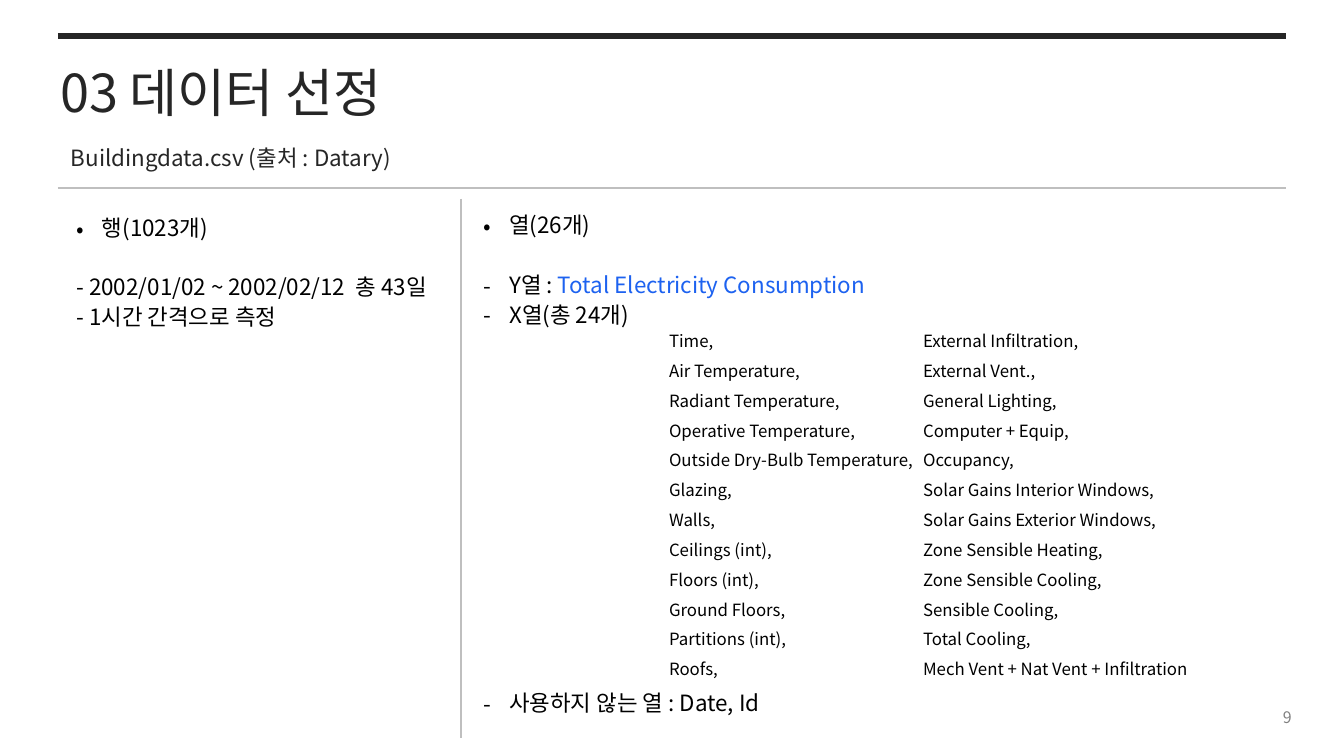
from pptx import Presentation
from pptx.dml.color import RGBColor
from pptx.enum.shapes import MSO_CONNECTOR
from pptx.enum.text import MSO_ANCHOR, PP_ALIGN
from pptx.oxml.ns import qn
from pptx.util import Inches, Pt
from lxml.etree import SubElement

FONT = "Noto Sans CJK KR"
DARK, BLACK, BLUE, RULE, GRAY = "262626", "000000", "1D62F0", "BFBFBF", "808080"
PLAIN_TABLE_STYLE = "{2D5ABB26-0587-4C30-8999-92F81FD0307C}"
LINE_PITCH = 16
INDENT = 0.19

LEFT_VARIABLES = [
    "Time,", "Air Temperature,", "Radiant Temperature,", "Operative Temperature,",
    "Outside Dry-Bulb Temperature,", "Glazing,", "Walls,", "Ceilings (int),",
    "Floors (int),", "Ground Floors,", "Partitions (int),", "Roofs,",
]
RIGHT_VARIABLES = [
    "External Infiltration,", "External Vent.,", "General Lighting,", "Computer + Equip,",
    "Occupancy,", "Solar Gains Interior Windows,", "Solar Gains Exterior Windows,",
    "Zone Sensible Heating,", "Zone Sensible Cooling,", "Sensible Cooling,",
    "Total Cooling,", "Mech Vent + Nat Vent + Infiltration",
]


def color(value):
    return RGBColor.from_string(value)


def format_run(run, size, ink):
    run.font.size = Pt(size)
    run.font.name = FONT
    run.font.color.rgb = color(ink)
    SubElement(run.font._element, qn("a:ea")).set("typeface", FONT)


def add_text(slide, left, top, width, height, lines, size, ink, pitch=LINE_PITCH):
    shape = slide.shapes.add_textbox(Inches(left), Inches(top), Inches(width), Inches(height))
    frame = shape.text_frame
    frame.word_wrap = True
    frame.text = "\n".join(lines)
    for paragraph in frame.paragraphs:
        if pitch:
            paragraph.line_spacing = Pt(pitch)
        for run in paragraph.runs:
            format_run(run, size, ink)
    return frame


def add_bullet(paragraph, character):
    properties = paragraph._p.get_or_add_pPr()
    properties.set("marL", str(Inches(INDENT)))
    properties.set("indent", str(-Inches(INDENT)))
    SubElement(properties, qn("a:buFont")).set("typeface", FONT)
    SubElement(properties, qn("a:buChar")).set("char", character)


def skip_lines(paragraph, count):
    paragraph.space_before = Pt(count * LINE_PITCH)


def add_rule(slide, start_x, start_y, end_x, end_y, ink, weight):
    rule = slide.shapes.add_connector(
        MSO_CONNECTOR.STRAIGHT, Inches(start_x), Inches(start_y), Inches(end_x), Inches(end_y))
    rule.line.color.rgb = color(ink)
    rule.line.width = Pt(weight)
    SubElement(rule._element.spPr, qn("a:effectLst"))


def add_header(slide, left, top, width, height):
    right, bottom = left + width, top + height
    add_text(slide, left - 0.08, top + 0.13, 7.56, 0.57, ["03 데이터 선정"], 28, DARK, None)
    add_text(slide, left, top + 0.73, 7.56, 0.33, ["Buildingdata.csv (출처 : Datary)"], 12, DARK)
    add_rule(slide, left, bottom, right, bottom, RULE, 0.75)
    add_rule(slide, left, top, right, top, DARK, 3)


def add_row_panel(slide, left, top, width, height):
    lines = ["행(1023개)", "- 2002/01/02 ~ 2002/02/12  총 43일", "- 1시간 간격으로 측정"]
    frame = add_text(slide, left, top, width, height, lines, 12, BLACK)
    skip_lines(frame.paragraphs[1], 1)
    add_bullet(frame.paragraphs[0], "•")


def add_column_panel(slide, left, top, width, height):
    lines = ["열(26개)", "Y열 : ", "X열(총 24개)", "사용하지 않는 열 : Date, Id"]
    frame = add_text(slide, left, top, width, height, lines, 12, BLACK)
    heading, target, inputs, unused = frame.paragraphs
    skip_lines(target, 1)
    skip_lines(unused, len(LEFT_VARIABLES))
    add_bullet(heading, "•")
    for paragraph in (target, inputs, unused):
        add_bullet(paragraph, "-")
    run = target.add_run()
    run.text = "Total Electricity Consumption"
    format_run(run, 12, BLUE)
    for offset, names in ((1.38, LEFT_VARIABLES), (3.27, RIGHT_VARIABLES)):
        add_text(slide, left + offset, top + 0.84, 5, 2.76, names, 9, BLACK)


def add_empty_table(slide, left, top, width, height):
    frame = slide.shapes.add_table(1, 1, Inches(left), Inches(top), Inches(width), Inches(height))
    table = frame.table
    table.first_row = False
    table.horz_banding = False
    table._tbl.tblPr.find(qn("a:tableStyleId")).text = PLAIN_TABLE_STYLE
    table.rows[0].height = Inches(0.23)
    cell = table.cell(0, 0)
    cell.fill.background()
    cell.text_frame.paragraphs[0].font.size = Pt(9)


def add_page_number(slide, left, top, width, height):
    frame = add_text(slide, left, top, width, height, ["9"], 8.5, GRAY, None)
    frame.vertical_anchor = MSO_ANCHOR.MIDDLE
    frame.paragraphs[0].alignment = PP_ALIGN.RIGHT


def main():
    presentation = Presentation()
    presentation.slide_width = Inches(10)
    presentation.slide_height = presentation.slide_width * 9 // 16
    slide = presentation.slides.add_slide(presentation.slide_layouts[6])
    add_page_number(slide, 7.6, 5.23, 2.11, 0.21)
    add_header(slide, 0.43, 0.27, 9.14, 1.13)
    add_row_panel(slide, 0.47, 1.52, 9.05, 0.98)
    add_column_panel(slide, 3.5, 1.5, 9.05, 3.92)
    add_empty_table(slide, 4.63, 2.7, 0.73, 0.28)
    add_rule(slide, 3.43, 1.48, 3.43, 5.49, RULE, 0.75)
    presentation.save("out.pptx")


if __name__ == "__main__":
    main()
